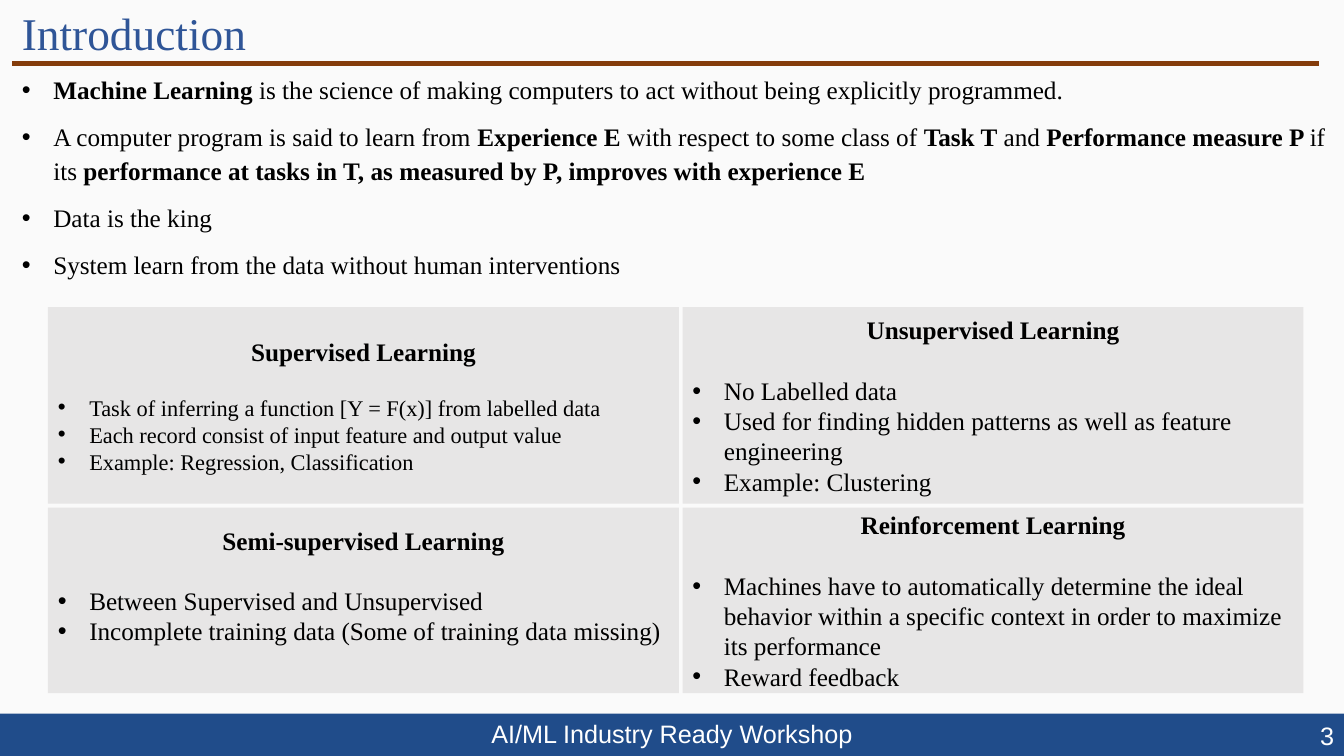
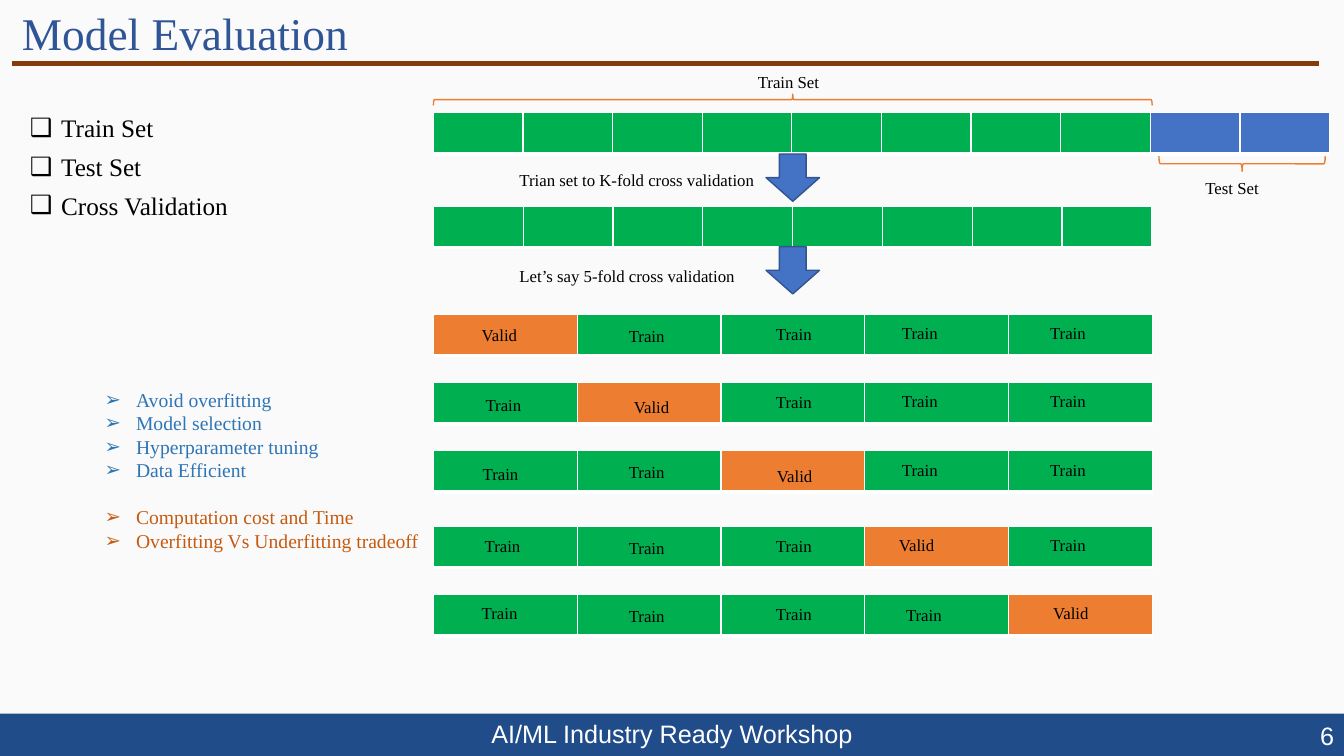
from lxml import etree
from pptx import Presentation
from pptx.dml.color import RGBColor
from pptx.enum import shapes, text
from pptx.oxml import ns
from pptx.util import Pt

COLORS = {
    "page": "FAFAFA", "band": "204C8A", "rule": "843C0B", "title": "2F5597",
    "white": "FFFFFF", "black": "000000", "card": "E7E6E6",
    "train": "00B050", "test": "4472C4", "valid": "ED7D31", "edge": "325491",
    "pro": "2E75B6", "con": "C55A11",
}
SERIF, SANS = "Times New Roman", "Arial"
LEFT, CENTER, RIGHT = text.PP_ALIGN.LEFT, text.PP_ALIGN.CENTER, text.PP_ALIGN.RIGHT
TOP, MIDDLE = text.MSO_ANCHOR.TOP, text.MSO_ANCHOR.MIDDLE
SHAPE = shapes.MSO_SHAPE
INDENT = 22.4

BAR_X, BAR_W, BAR_H = 309.6, 513.4, 29.3
FOLD_TOPS = (224.6, 273.4, 322, 376, 424.8)
FOLD_LABELS = (
    ((337, 228.2), (442.1, 229), (547.2, 227.5), (637.2, 227.2), (743, 227.2)),
    ((339.8, 278.6), (445.7, 280.1), (547.2, 276.5), (637.2, 275.8), (743, 275.8)),
    ((337.7, 327.6), (442.1, 326.2), (547.9, 329), (637.2, 324.7), (743, 324.7)),
    ((339.1, 379.4), (442.1, 380.2), (547.2, 379.4), (635, 378.7), (743, 378.7)),
    ((337, 427), (442.1, 429.1), (547.2, 427.7), (640.1, 428.4), (745.2, 427)),
)


def rgb(name):
    return RGBColor.from_string(COLORS[name])


def add_bullet(p, char):
    pPr = p._p.get_or_add_pPr()
    pPr.set("marL", str(Pt(INDENT)))
    pPr.set("indent", str(-Pt(INDENT)))
    etree.SubElement(pPr, ns.qn("a:buFont")).set("typeface", SANS)
    etree.SubElement(pPr, ns.qn("a:buChar")).set("char", char)


def add_para(tf, content, size=18, color="black", font=SERIF, align=LEFT,
             bullet=None, line=None, before=0, after=0):
    first = not tf.paragraphs[0].runs
    p = tf.paragraphs[0] if first else tf.add_paragraph()
    p.alignment = align
    if bullet:
        add_bullet(p, bullet)
    if line:
        p.line_spacing = line
    p.space_before = Pt(0 if first else before)
    p.space_after = Pt(after)
    for i, part in enumerate(content.split("*")):
        if part:
            r = p.add_run()
            r.text = part
            r.font.name = font
            r.font.size = Pt(size)
            r.font.bold = i % 2 == 1
            r.font.color.rgb = rgb(color)


def add_text(s, x, y, w, h, paras, anchor=TOP, **fmt):
    tf = s.shapes.add_textbox(Pt(x), Pt(y), Pt(w), Pt(h)).text_frame
    tf.word_wrap = True
    tf.vertical_anchor = anchor
    for content in paras:
        add_para(tf, content, **fmt)
    return tf


def add_shape(s, kind, x, y, w, h, fill=None, line=None):
    sp = s.shapes.add_shape(kind, Pt(x), Pt(y), Pt(w), Pt(h))
    sp.shadow.inherit = False
    if fill:
        sp.fill.solid()
        sp.fill.fore_color.rgb = rgb(fill)
    else:
        sp.fill.background()
    if line:
        sp.line.color.rgb = rgb(line)
        sp.line.width = Pt(1)
    else:
        sp.line.fill.background()
    return sp


def add_slide(prs, title, number):
    s = prs.slides.add_slide(prs.slide_layouts[6])
    s.background.fill.solid()
    s.background.fill.fore_color.rgb = rgb("page")
    band = add_shape(s, SHAPE.RECTANGLE, 0, 509.8, 960, 30.2, "band")
    band.text_frame.vertical_anchor = MIDDLE
    band.text_frame.margin_bottom = Pt(5)
    footer = {"font": SANS, "color": "white"}
    add_para(band.text_frame, "AI/ML Industry Ready Workshop", align=CENTER, **footer)
    add_text(s, 744, 511.2, 216, 28.8, [str(number)], align=RIGHT, **footer)
    rule = s.shapes.add_connector(shapes.MSO_CONNECTOR.STRAIGHT,
                                  Pt(8.6), Pt(45.4), Pt(942.5), Pt(45.4))
    rule.line.color.rgb = rgb("rule")
    rule.line.width = Pt(3)
    etree.SubElement(rule._element.spPr, ns.qn("a:effectLst"))
    add_text(s, 8.6, 8.6, 945.4, 34.6, [title], anchor=MIDDLE,
             size=32.4, color="title", line=0.9)
    return s


def add_card(s, x, y, w, h, heading, points, size=18, gap=21.7, lift=0):
    tf = add_shape(s, SHAPE.RECTANGLE, x, y, w, h, "card").text_frame
    tf.word_wrap = True
    tf.vertical_anchor = MIDDLE
    tf.margin_bottom = Pt(3.6 + lift)
    add_para(tf, f"*{heading}*", align=CENTER, after=gap)
    for point in points:
        add_para(tf, point, size=size, bullet="•")


def add_cell_borders(cell):
    tcPr = cell._tc.get_or_add_tcPr()
    for side, width in (("L", 1), ("R", 1), ("T", 1), ("B", 3)):
        ln = etree.SubElement(tcPr, ns.qn(f"a:ln{side}"), w=str(Pt(width)))
        fill = etree.SubElement(ln, ns.qn("a:solidFill"))
        etree.SubElement(fill, ns.qn("a:srgbClr"), val=COLORS["white"])


def add_bar(s, y, w, fills):
    tbl = s.shapes.add_table(1, len(fills), Pt(BAR_X), Pt(y), Pt(w), Pt(BAR_H)).table
    tbl.first_row = tbl.horz_banding = False
    for i, fill in enumerate(fills):
        tbl.columns[i].width = Pt(w / len(fills))
        cell = tbl.cell(0, i)
        add_cell_borders(cell)
        cell.fill.solid()
        cell.fill.fore_color.rgb = rgb(fill)


def add_brace(s, x, y, w, h, rotation):
    sp = add_shape(s, SHAPE.RIGHT_BRACE, x + (w - h) / 2, y + (h - w) / 2, h, w,
                   line="valid")
    sp.rotation = rotation


def introduction(prs):
    s = add_slide(prs, "Introduction", 3)
    add_text(s, 8.6, 47.5, 946, 171.4, [
        "*Machine Learning *is the science of making computers to act without "
        "being explicitly programmed.",
        "A computer program is said to learn from *Experience E *with respect to "
        "some class of *Task T* and *Performance measure P *if its *performance "
        "at tasks in T, as measured by P, improves with experience E*",
        "Data is the king",
        "System learn from the data without human interventions",
    ], bullet="•", line=1.1, before=10)
    left, right = (34.3, 450.7), (487.6, 443.5)
    upper, lower = (219.4, 140.4), (362.7, 132.5)
    cards = [
        (left, upper, "Supervised Learning", [
            "Task of inferring a function [Y = F(x)] from labelled data",
            "Each record consist of input feature and output value",
            "Example: Regression, Classification"], {"size": 16, "gap": 19.5}),
        (right, upper, "Unsupervised Learning", [
            "No Labelled data",
            "Used for finding hidden patterns as well as feature engineering",
            "Example: Clustering"], {}),
        (left, lower, "Semi-supervised Learning", [
            "Between Supervised and Unsupervised",
            "Incomplete training data (Some of training data missing)"],
         {"lift": 21.4}),
        (right, lower, "Reinforcement Learning", [
            "Machines have to automatically determine the ideal behavior within "
            "a specific context in order to maximize its performance",
            "Reward feedback"], {}),
    ]
    for (x, w), (y, h), heading, points, fmt in cards:
        add_card(s, x, y, w, h, heading, points, **fmt)


def model_evaluation(prs):
    s = add_slide(prs, "Model Evaluation", 6)
    add_text(s, 14.2, 77, 170, 85, ["Train Set", "Test Set", "Cross Validation"],
             bullet="❑", before=6)
    tf = add_text(s, 67.7, 273.4, 245, 143.3,
                  ["Avoid overfitting", "Model selection", "Hyperparameter tuning",
                   "Data Efficient"], size=14, color="pro", bullet="➢")
    for content, before in (("Computation cost and Time", 16.6),
                            ("Overfitting Vs Underfitting tradeoff", 0)):
        add_para(tf, content, size=14, color="con", bullet="➢", before=before)

    add_bar(s, 80.6, 640.1, ["train"] * 8 + ["test"] * 2)
    add_bar(s, 147.6, BAR_W, ["train"] * 8)
    add_brace(s, BAR_X, 67.2, BAR_W, 8, 270)
    add_brace(s, 827.8, 111.6, 118.8, 10.8, 90)
    for y in (110, 176.2):
        add_shape(s, SHAPE.DOWN_ARROW, 547.2, y, 38.2, 33.8, "test", "edge")
    for x, y, w, label in (
            (534.2, 47.5, 78.5, "Train Set"),
            (853.9, 123.1, 78.5, "Test Set"),
            (364, 117.4, 198.7, "Trian set to K-fold cross validation"),
            (364, 186.2, 198.7, "Let’s say 5-fold cross validation")):
        add_text(s, x, y, w, 21.6, [label], size=12)

    for fold, (top, spots) in enumerate(zip(FOLD_TOPS, FOLD_LABELS)):
        roles = ["valid" if i == fold else "train" for i in range(len(spots))]
        add_bar(s, top, BAR_W, roles)
        for role, (x, y) in zip(roles, spots):
            add_text(s, x, y, 52.6, 21.6, [role.title()], size=12)


def main():
    prs = Presentation()
    prs.slide_width, prs.slide_height = Pt(960), Pt(540)
    introduction(prs)
    model_evaluation(prs)
    prs.save("out.pptx")


if __name__ == "__main__":
    main()
